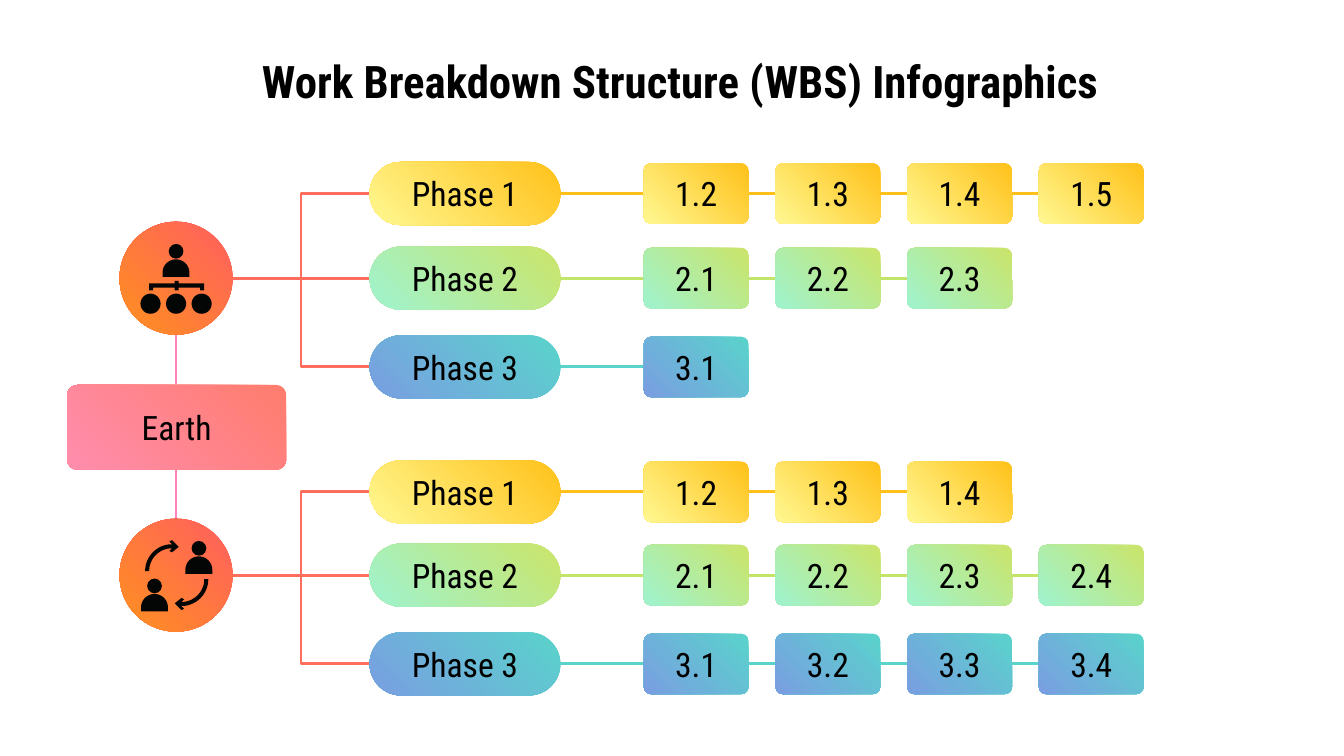
from math import cos, pi, sin

from lxml import etree
from pptx import Presentation
from pptx.dml.color import RGBColor
from pptx.enum.shapes import MSO_CONNECTOR, MSO_SHAPE
from pptx.enum.text import MSO_ANCHOR, MSO_AUTO_SIZE, PP_ALIGN
from pptx.oxml.ns import qn
from pptx.util import Inches, Pt

OVAL, ROUND = MSO_SHAPE.OVAL, MSO_SHAPE.ROUNDED_RECTANGLE
LINE, ELBOW = MSO_CONNECTOR.STRAIGHT, MSO_CONNECTOR.ELBOW
TOP, MIDDLE, CENTER = MSO_ANCHOR.TOP, MSO_ANCHOR.MIDDLE, PP_ALIGN.CENTER
FONT = "Roboto Condensed"

COLORS = {"black": "000000", "icon": "040606", "stem": "FF80B9", "branch": "FF6D5D",
          "gold": "FFC119", "lime": "C2E469", "teal": "5AD3CB"}
FADES = {"gold": ("FFC119", "FFF892"), "lime": ("CBE469", "9FF3CF"),
         "teal": ("5AD3CB", "799EE2"), "hub": ("FF5F5F", "FF9020"),
         "root": ("FF7C6D", "FF8DAD")}

prs = Presentation()
prs.slide_width = Inches(10)
prs.slide_height = prs.slide_width * 9 // 16
slide = prs.slides.add_slide(prs.slide_layouts[5])
shapes = slide.shapes


def add_node(kind, x, mid, w, h, fade, text="", adj=None):
    """Add a gradient shape whose vertical centre is mid."""
    node = shapes.add_shape(kind, Inches(x), Inches(mid - h / 2), Inches(w), Inches(h))
    node.shadow.inherit = False
    node.line.fill.background()
    node.fill.gradient()
    node.fill.gradient_angle = 225
    for stop, color in zip(node.fill.gradient_stops, FADES[fade]):
        stop.color.rgb = RGBColor.from_string(color)
    if adj is not None:
        node.adjustments[0] = adj
    if text:
        frame = node.text_frame
        frame.vertical_anchor = MIDDLE
        para = frame.paragraphs[0]
        para.alignment = CENTER
        run = para.add_run()
        run.text = text
        run.font.name, run.font.size = FONT, Pt(18)
        run.font.color.rgb = RGBColor.from_string(COLORS["black"])


def add_link(kind, x1, y1, x2, y2, color):
    link = shapes.add_connector(kind, Inches(x1), Inches(y1), Inches(x2), Inches(y2))
    link.line.color.rgb = RGBColor.from_string(COLORS[color])
    link.line.width = Pt(1.5)
    etree.SubElement(link._element.spPr, qn("a:effectLst"))


# Title
title = shapes.title
title.left, title.top = Inches(0.4), Inches(0.3)
title.width, title.height = Inches(9.32), Inches(0.63)
frame = title.text_frame
frame.auto_size = MSO_AUTO_SIZE.NONE
frame.vertical_anchor = TOP
frame.margin_left = frame.margin_right = Inches(0.1)
frame.margin_top = frame.margin_bottom = Inches(0.1)
para = frame.paragraphs[0]
para.alignment = CENTER
run = para.add_run()
run.text = "Work Breakdown Structure (WBS) Infographics"
run.font.name, run.font.size, run.font.bold = FONT, Pt(24), True
run.font.color.rgb = RGBColor.from_string(COLORS["black"])

# Root with a stem to each hub
add_link(LINE, 1.31, 2.49, 1.31, 2.86, "stem")
add_link(LINE, 1.31, 3.49, 1.31, 3.86, "stem")
add_node(ROUND, 0.5, 3.18, 1.63, 0.63, "root", "Earth", 0.12)

# Hubs, each with three phases: (centre, colour, tasks)
teams = [
    (2.07, [(1.44, "gold", ["1.2", "1.3", "1.4", "1.5"]),
            (2.07, "lime", ["2.1", "2.2", "2.3"]),
            (2.73, "teal", ["3.1"])]),
    (4.28, [(3.66, "gold", ["1.2", "1.3", "1.4"]),
            (4.28, "lime", ["2.1", "2.2", "2.3", "2.4"]),
            (4.94, "teal", ["3.1", "3.2", "3.3", "3.4"])]),
]
TASK_X, TASK_W, STEP = 4.79, 0.78, 0.98
for hub, phases in teams:
    for num, (mid, color, tasks) in enumerate(phases, 1):
        add_link(LINE if mid == hub else ELBOW, 1.73, hub, 2.75, mid, "branch")
        add_node(ROUND, 2.75, mid, 1.42, 0.47, color, f"Phase {num}", 0.5)
        end = 4.17
        for col, task in enumerate(tasks):
            x = TASK_X + col * STEP
            add_link(LINE, end, mid, x, mid, color)
            add_node(ROUND, x, mid, TASK_W, 0.45, color, task, 0.12)
            end = x + TASK_W
    add_node(OVAL, 0.89, hub, 0.84, 0.84, "hub")

# Icons: people as head and body, dots, and outlines
chart, swap = shapes.add_group_shape(), shapes.add_group_shape()
dots = [(chart, x, 2.26, 0.15) for x in (1.12, 1.31, 1.5)]
outlines = []
turn = [pi * step / 24 for step in range(25)]
for icon, x, top in [(chart, 1.31, 1.81), (swap, 1.48, 4.02), (swap, 1.15, 4.3)]:
    dots.append((icon, x, top + 0.06, 0.11))
    dome = [(x - 0.1 * cos(a), top + 0.22 - 0.1 * sin(a)) for a in turn]
    outlines.append((icon, dome + [(x + 0.1, top + 0.25), (x - 0.1, top + 0.25)]))

outlines.append((chart, [
    (1.3, 2.09), (1.3, 2.11), (1.11, 2.11), (1.11, 2.16), (1.14, 2.16), (1.14, 2.14),
    (1.3, 2.14), (1.3, 2.16), (1.33, 2.16), (1.33, 2.14), (1.49, 2.14), (1.49, 2.16),
    (1.52, 2.16), (1.52, 2.11), (1.33, 2.11), (1.33, 2.09)]))

quarter = [a / 2 for a in turn]
outer = [(1.28 - 0.2 * cos(a), 4.25 - 0.2 * sin(a)) for a in quarter]
inner = [(1.28 - 0.17 * cos(a), 4.25 - 0.17 * sin(a)) for a in reversed(quarter)]
tip = [(1.26, 4.03), (1.28, 4.02), (1.33, 4.07), (1.28, 4.11), (1.26, 4.1)]
arrow = outer + tip + inner
outlines.append((swap, arrow))
outlines.append((swap, [(2.63 - x, 8.56 - y) for x, y in arrow]))

parts = []
for icon, x, y, size in dots:
    parts.append(icon.shapes.add_shape(OVAL, Inches(x - size / 2), Inches(y - size / 2),
                                       Inches(size), Inches(size)))
for icon, points in outlines:
    spots = [(Inches(x), Inches(y)) for x, y in points]
    pen = icon.shapes.build_freeform(*spots[0])
    pen.add_line_segments(spots[1:])
    parts.append(pen.convert_to_shape())
for part in parts:
    part.shadow.inherit = False
    part.fill.solid()
    part.fill.fore_color.rgb = RGBColor.from_string(COLORS["icon"])
    part.line.fill.background()

prs.save("out.pptx")
